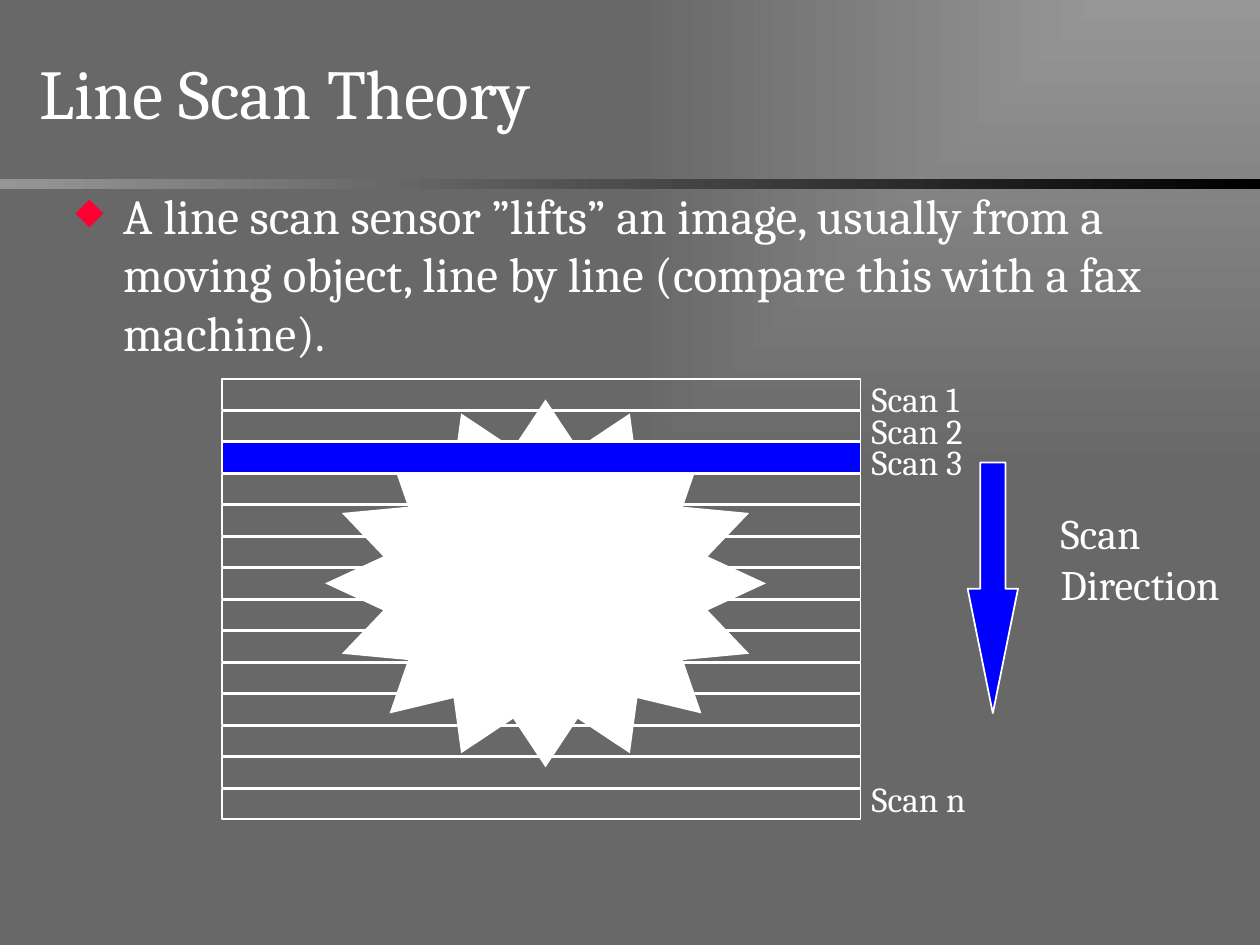
from dataclasses import dataclass

from lxml import etree
from pptx import Presentation
from pptx.dml.color import RGBColor
from pptx.enum import shapes, text
from pptx.oxml.ns import qn
from pptx.util import Inches, Pt

FONT = "Cambria"
COLORS = {
    "white": "FFFFFF",
    "scan": "0000FF",
    "bullet": "FF0033",
    "light": "969696",
    "ground": "686868",
    "black": "000000",
}
STRIPE_COUNT, STRIPE_TOP, STRIPE_PITCH, ACTIVE_STRIPE = 14, 3.01, 0.25, 2


@dataclass
class Box:
    left: float
    top: float
    width: float
    height: float

    def emu(self) -> tuple:
        return tuple(Inches(v) for v in (self.left, self.top, self.width, self.height))


@dataclass
class Label:
    box: Box
    lines: tuple
    size: int = 20
    wrap: bool = False


def rgb(name: str) -> RGBColor:
    return RGBColor.from_string(COLORS[name])


def set_gradient(fill, start: str, end: str) -> None:
    fill.gradient()
    for stop, name in zip(fill.gradient_stops, (start, end)):
        stop.color.rgb = rgb(name)


def add_figure(slide, kind, box: Box, fill: str = "", line: str = ""):
    figure = slide.shapes.add_shape(kind, *box.emu())
    figure.shadow.inherit = False
    if fill:
        figure.fill.solid()
        figure.fill.fore_color.rgb = rgb(fill)
    else:
        figure.fill.background()
    if line:
        figure.line.color.rgb = rgb(line)
        figure.line.width = Pt(1)
    else:
        figure.line.fill.background()
    return figure


def write_lines(frame, lines: tuple, size: int) -> None:
    frame.text = "\n".join(lines)
    for paragraph in frame.paragraphs:
        paragraph.alignment = text.PP_ALIGN.LEFT
        paragraph.font.name = FONT
        paragraph.font.size = Pt(size)
        paragraph.font.color.rgb = rgb("white")


def add_label(slide, label: Label):
    frame = slide.shapes.add_textbox(*label.box.emu()).text_frame
    frame.word_wrap = label.wrap
    write_lines(frame, label.lines, label.size)
    return frame


def add_bullet(paragraph) -> None:
    props = paragraph._p.get_or_add_pPr()
    props.set("marL", str(Inches(0.38)))
    props.set("indent", str(-Inches(0.38)))
    color = etree.Element(qn("a:buClr"))
    etree.SubElement(color, qn("a:srgbClr"), val=COLORS["bullet"])
    size = etree.Element(qn("a:buSzPct"), val="75000")
    mark = etree.Element(qn("a:buChar"), char="◆")
    for position, element in enumerate((color, size, mark)):
        props.insert(position, element)


def main() -> None:
    deck = Presentation()
    deck.slide_width, deck.slide_height = Inches(10), Inches(7.5)
    slide = deck.slides.add_slide(deck.slide_layouts[5])

    # Background glowing from the top right corner
    ground = slide.background.fill
    set_gradient(ground, "light", "ground")
    gradient = slide.background._cSld.find(".//" + qn("a:gradFill"))
    linear = gradient.find(qn("a:lin"))
    corner = etree.Element(qn("a:path"), {"path": "rect"})
    etree.SubElement(corner, qn("a:fillToRect"), l="100000", b="100000")
    gradient.replace(linear, corner)

    # Divider under the title
    divider = add_figure(slide, shapes.MSO_SHAPE.RECTANGLE, Box(0, 1.42, 10, 0.08))
    set_gradient(divider.fill, "light", "black")
    divider.fill.gradient_angle = 0

    # Title and statement
    title = slide.shapes.title
    title.left, title.top, title.width, title.height = Box(0.21, 0.1, 7.75, 1.25).emu()
    title.text_frame.vertical_anchor = text.MSO_ANCHOR.MIDDLE
    write_lines(title.text_frame, ("Line Scan Theory",), 40)
    statement = add_label(slide, Label(
        Box(0.5, 1.42, 9.5, 2.5),
        ("A line scan sensor ”lifts” an image, usually from a moving object, "
         "line by line (compare this with a fax machine).",),
        28, wrap=True))
    add_bullet(statement.paragraphs[0])

    # Scanned object, covered by the scan lines
    star = add_figure(slide, shapes.MSO_SHAPE.STAR_16_POINT,
                      Box(2.58, 3.17, 3.5, 2.92), "white")
    star.adjustments[0] = 0.375
    for index in range(STRIPE_COUNT):
        stripe = Box(1.76, STRIPE_TOP + index * STRIPE_PITCH, 5.07, 0.24)
        add_figure(slide, shapes.MSO_SHAPE.RECTANGLE, stripe,
                   "scan" if index == ACTIVE_STRIPE else "", "white")

    # Scan direction
    arrow = add_figure(slide, shapes.MSO_SHAPE.DOWN_ARROW,
                       Box(7.68, 3.67, 0.4, 1.99), "scan", "white")
    arrow.adjustments[0], arrow.adjustments[1] = 0.5, 2.47
    add_label(slide, Label(Box(8.32, 3.98, 1.46, 0.9), ("Scan", "Direction"), 24))

    # Scan numbers
    for name, top in (("1", 2.95), ("2", 3.2), ("3", 3.45), ("n", 6.12)):
        add_label(slide, Label(Box(6.82, top, 0.97, 0.43), (f"Scan {name}",)))

    deck.save("out.pptx")


if __name__ == "__main__":
    main()
